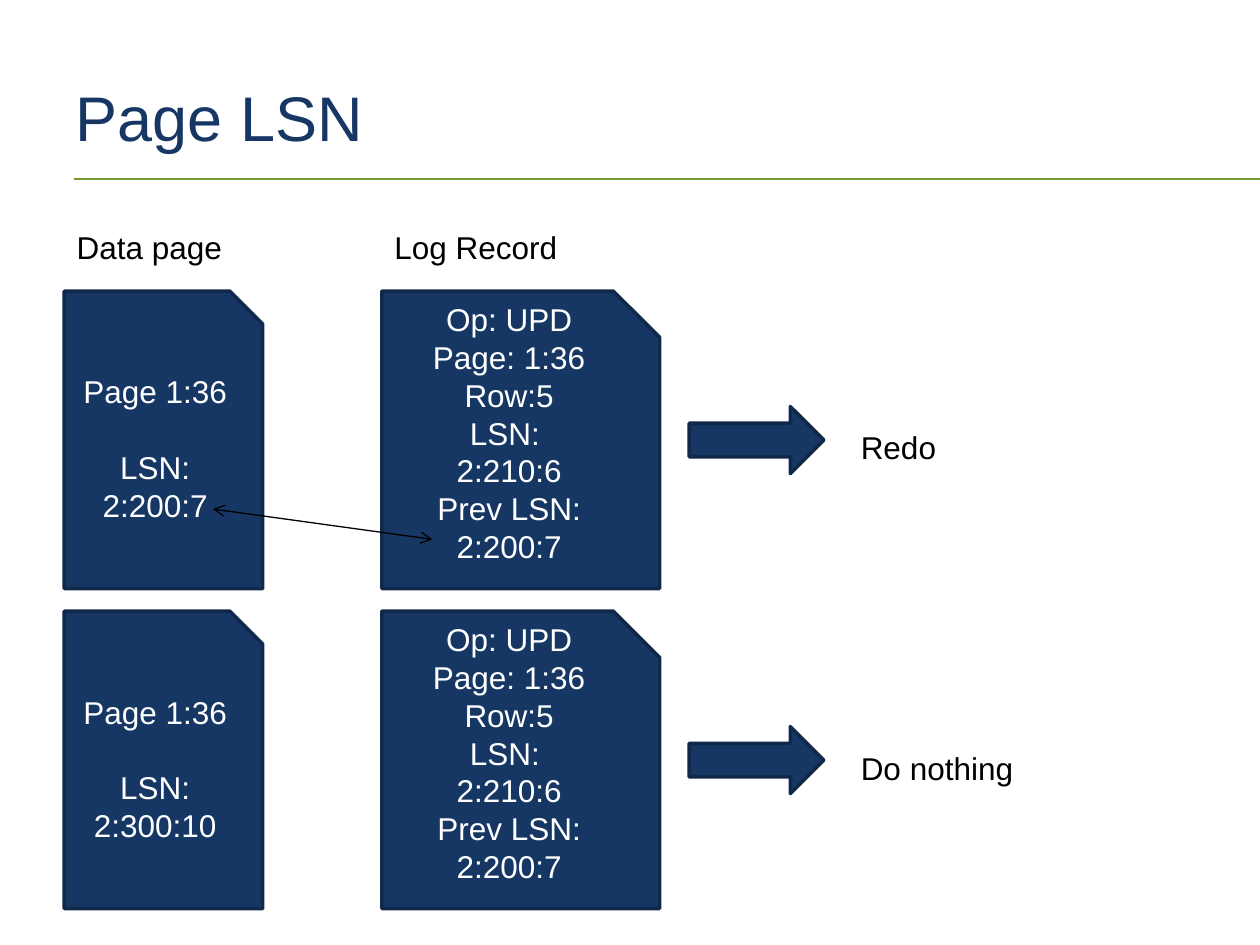
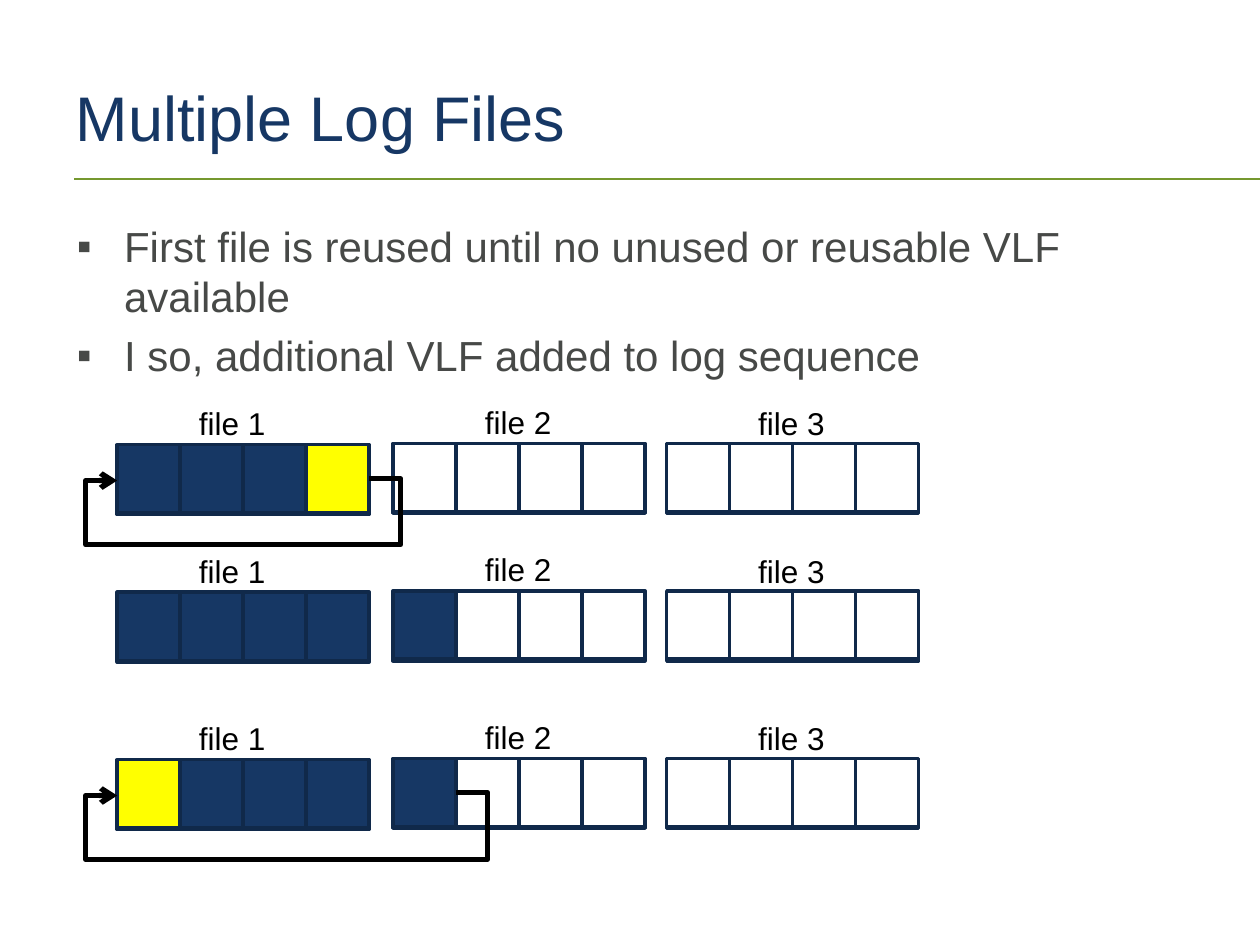
from dataclasses import dataclass

from lxml import etree
from pptx import Presentation
from pptx.dml.color import RGBColor
from pptx.enum.shapes import MSO_CONNECTOR, MSO_SHAPE
from pptx.enum.text import MSO_ANCHOR, MSO_AUTO_SIZE, PP_ALIGN
from pptx.oxml.ns import qn
from pptx.util import Pt

STRAIGHT, ELBOW = MSO_CONNECTOR.STRAIGHT, MSO_CONNECTOR.ELBOW
RECTANGLE, RIGHT_ARROW = MSO_SHAPE.RECTANGLE, MSO_SHAPE.RIGHT_ARROW
SNIPPED = MSO_SHAPE.SNIP_1_RECTANGLE
LEFT, CENTER = PP_ALIGN.LEFT, PP_ALIGN.CENTER
TOP, MIDDLE = MSO_ANCHOR.TOP, MSO_ANCHOR.MIDDLE
NO_FIT, GROW = MSO_AUTO_SIZE.NONE, MSO_AUTO_SIZE.SHAPE_TO_FIT_TEXT
TOP_SIDE, LEFT_SIDE, BOTTOM_SIDE, RIGHT_SIDE = range(4)

FONT = "Arial"
COLORS = {
    "navy": "163764",
    "edge": "10294A",
    "green": "75982F",
    "gray": "474947",
    "black": "000000",
    "white": "FFFFFF",
    "yellow": "FFFF00",
}
STATES = {"used": "navy", "free": "white", "reused": "yellow"}

LINE_HEIGHT = 21.6
CELL_WIDTH, CELL_HEIGHT = 36, 39
LAYER_OFFSET = 1
LOOP_REACH, LOOP_DROP = 18, 38


@dataclass(frozen=True)
class RedoCase:
    top: float
    page_lsn: str
    outcome: str
    outcome_width: float


@dataclass(frozen=True)
class LogFile:
    name: str
    left: float
    lift: float
    label_left: float
    label_rise: float


@dataclass(frozen=True)
class LogRow:
    top: float
    reused: tuple[int, ...]
    used: tuple[int, ...]
    loop_from: int | None = None


REDO_CASES = (
    RedoCase(166.3, "2:200:7", "Redo", 58),
    RedoCase(349.2, "2:300:10", "Do nothing", 102),
)
LOG_FILES = (
    LogFile("file 1", 67, 0, 106.6, 26.5),
    LogFile("file 2", 224.6, 0.75, 270, 27.5),
    LogFile("file 3", 381, 0.75, 426.2, 26.5),
)
LOG_ROWS = (
    LogRow(254.1, (3,), (0, 1, 2), 3),
    LogRow(338.4, (), (0, 1, 2, 3, 4)),
    LogRow(434.1, (0,), (1, 2, 3, 4), 4),
)
RECORD_LINES = ("Op: UPD", "Page: 1:36", "Row:5", "LSN: ", "2:210:6",
                "Prev LSN:", "2:200:7")


def color_of(name: str) -> RGBColor:
    return RGBColor.from_string(COLORS[name])


def place(shape, left: float, top: float, width: float, height: float) -> None:
    shape.left, shape.top = Pt(left), Pt(top)
    shape.width, shape.height = Pt(width), Pt(height)


def write_text(shape, lines, *, size=18, color="black", align=LEFT, anchor=TOP,
               wrap=True, fit=NO_FIT, gaps=None, bullet=None) -> None:
    frame = shape.text_frame
    frame.word_wrap = wrap
    frame.auto_size = fit
    frame.vertical_anchor = anchor
    for index, line in enumerate(lines):
        paragraph = frame.paragraphs[0] if index == 0 else frame.add_paragraph()
        paragraph.alignment = align
        paragraph.space_before = Pt((gaps or {}).get(index, 0))
        if bullet:
            properties = paragraph._p.get_or_add_pPr()
            properties.set("marL", str(Pt(27)))
            properties.set("indent", str(-Pt(27)))
            etree.SubElement(properties, qn("a:buChar")).set("char", bullet)
        run = paragraph.add_run()
        run.text = line
        run.font.name = FONT
        run.font.size = Pt(size)
        run.font.color.rgb = color_of(color)


def add_label(slide, text: str, left: float, top: float, width: float) -> None:
    box = slide.shapes.add_textbox(Pt(left), Pt(top), Pt(width), Pt(29))
    write_text(box, [text], wrap=False, fit=GROW)


def add_block(slide, kind, left: float, top: float, width: float, height: float,
              fill: str = "navy"):
    shape = slide.shapes.add_shape(kind, Pt(left), Pt(top), Pt(width), Pt(height))
    shape.shadow.inherit = False
    shape.fill.solid()
    shape.fill.fore_color.rgb = color_of(fill)
    shape.line.color.rgb = color_of("edge")
    shape.line.width = Pt(2)
    return shape


def add_line(slide, kind, start, end, color: str, weight: float, arrows=()):
    connector = slide.shapes.add_connector(kind, *map(Pt, start), *map(Pt, end))
    connector.line.color.rgb = color_of(color)
    connector.line.width = Pt(weight)
    outline = connector.line._get_or_add_ln()
    for arrow in arrows:
        etree.SubElement(outline, qn(f"a:{arrow}")).set("type", "arrow")
    etree.SubElement(connector.element.spPr, qn("a:effectLst"))
    return connector


def add_loop(slide, start_cell, end_cell) -> None:
    connector = add_line(slide, ELBOW, (0, 0), (0, 0), "black", 3, ["tailEnd"])
    connector.begin_connect(start_cell, RIGHT_SIDE)
    connector.end_connect(end_cell, LEFT_SIDE)
    geometry = connector.element.spPr.find(qn("a:prstGeom"))
    geometry.set("prst", "bentConnector5")
    values = geometry.find(qn("a:avLst"))
    reach = Pt(LOOP_REACH) / connector.width
    drop = Pt(LOOP_DROP) / connector.height
    for number, ratio in enumerate((-reach, drop, 1 + reach), start=1):
        guide = etree.SubElement(values, qn("a:gd"))
        guide.set("name", f"adj{number}")
        guide.set("fmla", f"val {round(ratio * 100000)}")


def add_slide(presentation, layout_index: int, title: str):
    slide = presentation.slides.add_slide(presentation.slide_layouts[layout_index])
    place(slide.shapes.title, 36, 21.6, 648, 90)
    write_text(slide.shapes.title, [title], size=36, color="navy", anchor=MIDDLE)
    return slide


def add_master_rule(presentation, slide) -> None:
    rule = add_line(slide, STRAIGHT, (42.5, 102.2), (720, 102.2), "green", 1)
    presentation.slide_master.shapes.element.insert(2, rule.element)


def build_page_lsn(presentation):
    slide = add_slide(presentation, 5, "Page LSN")
    add_label(slide, "Data page", 36.7, 126.7, 98.6)
    add_label(slide, "Log Record", 218.2, 126.7, 108.7)
    for case in REDO_CASES:
        page = add_block(slide, SNIPPED, 36.7, case.top, 113.4, 170)
        write_text(page, ["Page 1:36", "LSN:", case.page_lsn], color="white",
                   align=CENTER, anchor=MIDDLE, gaps={1: LINE_HEIGHT})
        record = add_block(slide, SNIPPED, 218.2, case.top, 158.7, 170)
        write_text(record, RECORD_LINES, color="white", align=CENTER, anchor=MIDDLE)
        record.text_frame.margin_bottom = Pt(3.6 + LINE_HEIGHT)
        add_block(slide, RIGHT_ARROW, 393.8, case.top + 66, 77, 38.3)
        add_label(slide, case.outcome, 484.8, case.top + 75, case.outcome_width)
    add_line(slide, STRAIGHT, (121.7, 290.9), (247, 308.2), "black", 0.75,
             ["headEnd", "tailEnd"])
    return slide


def add_cells(slide, row: LogRow, top: float) -> list:
    cells = []
    for file in LOG_FILES:
        for column in range(4):
            index = len(cells)
            state = ("reused" if index in row.reused
                     else "used" if index in row.used else "free")
            cells.append(add_block(slide, RECTANGLE, file.left + column * CELL_WIDTH,
                                   top - file.lift, CELL_WIDTH, CELL_HEIGHT,
                                   STATES[state]))
    return cells


def build_multiple_log_files(presentation) -> None:
    slide = add_slide(presentation, 1, "Multiple Log Files")
    body = slide.placeholders[1]
    place(body, 36.7, 122.4, 648, 383.8)
    write_text(body, ["First file is reused until no unused or reusable VLF available",
                      "I so, additional VLF added to log sequence"],
               size=24, color="gray", gaps={1: 4.8}, bullet="▪")
    for row in LOG_ROWS:
        back_cells = add_cells(slide, row, row.top + LAYER_OFFSET)
        front_cells = add_cells(slide, row, row.top)
        for file in LOG_FILES:
            add_label(slide, file.name, file.label_left, row.top - file.label_rise, 52.6)
        if row.loop_from is not None:
            add_loop(slide, front_cells[row.loop_from], back_cells[0])


def main() -> None:
    presentation = Presentation()
    presentation.slide_width, presentation.slide_height = Pt(720), Pt(540)
    first_slide = build_page_lsn(presentation)
    add_master_rule(presentation, first_slide)
    build_multiple_log_files(presentation)
    presentation.save("out.pptx")


if __name__ == "__main__":
    main()
